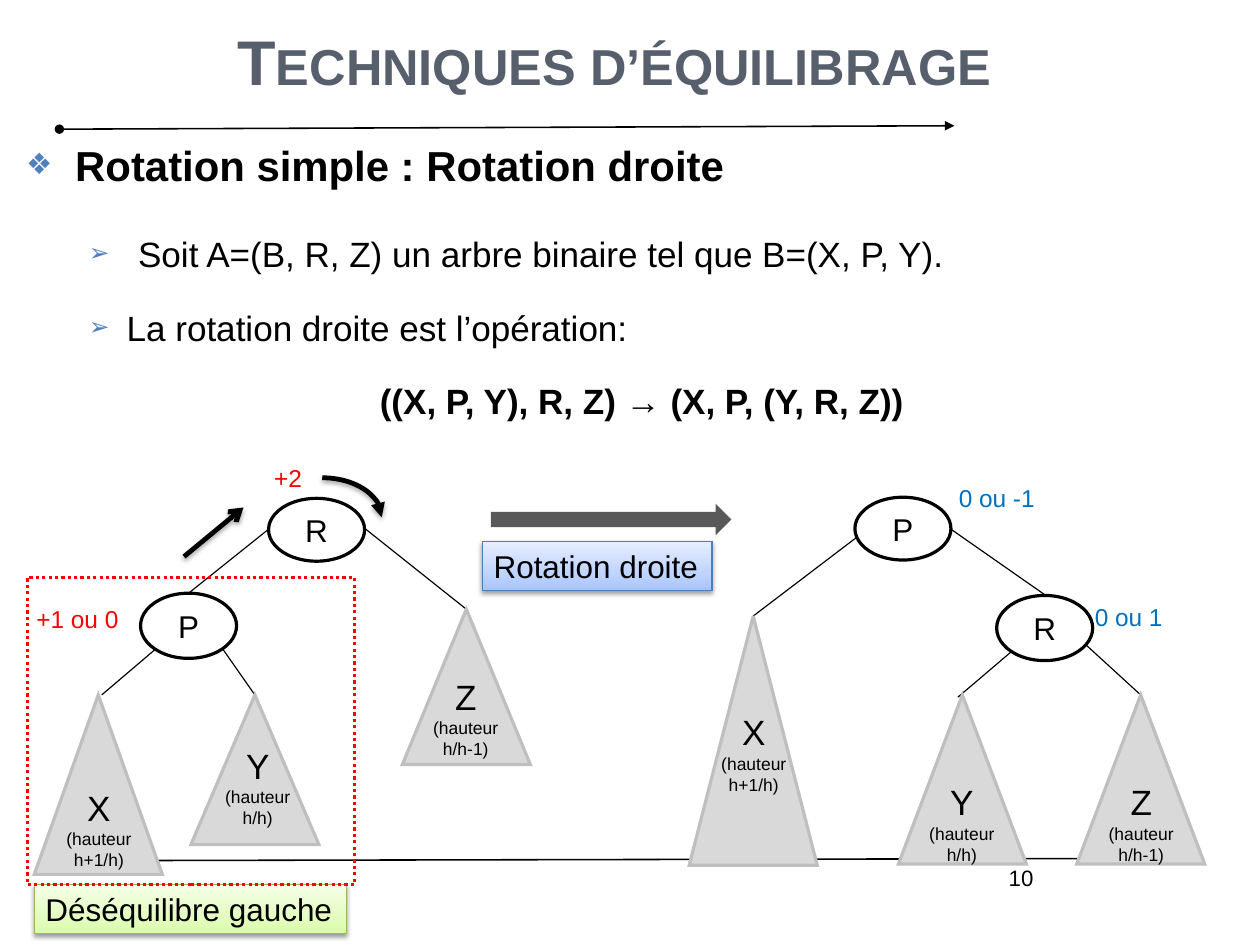
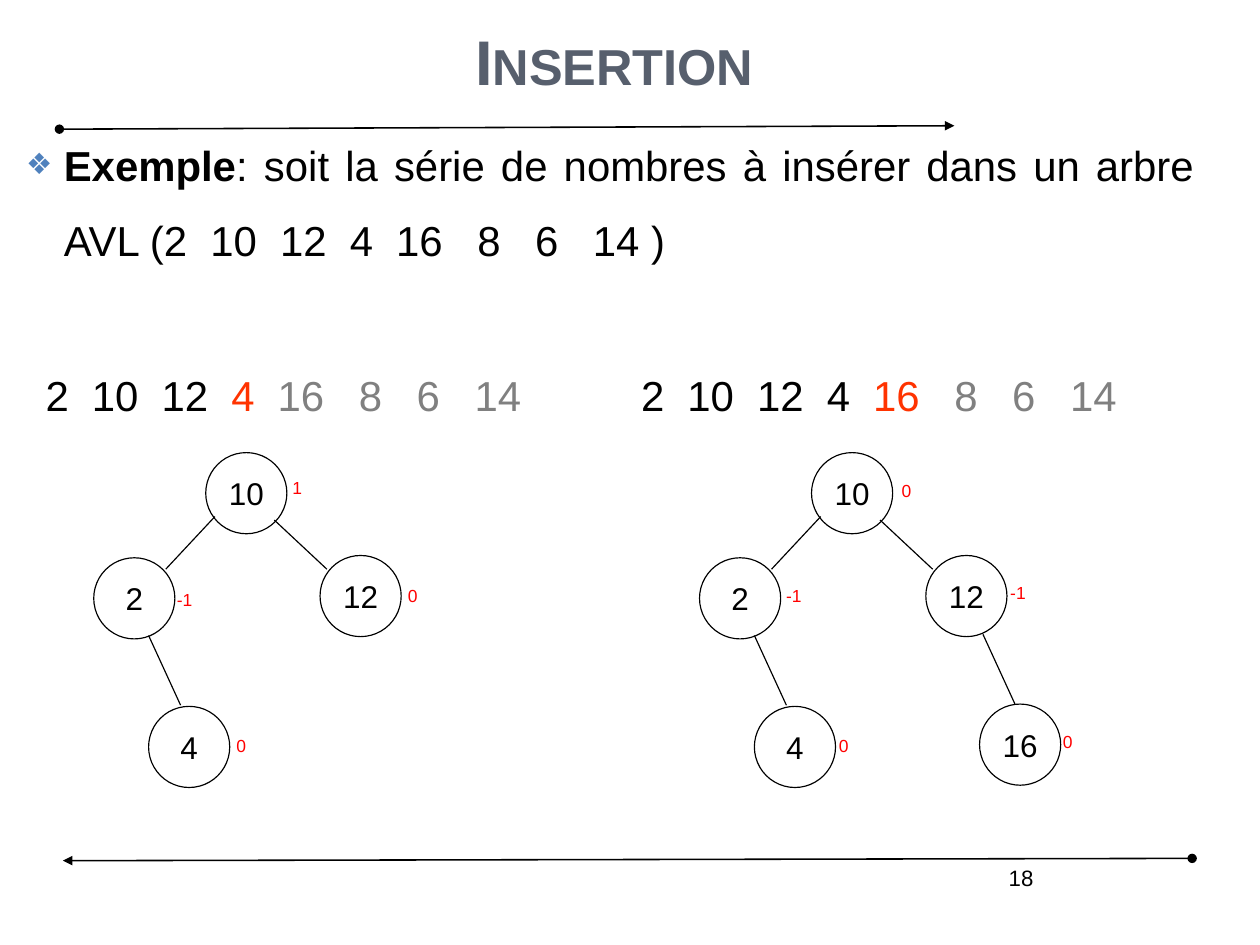
"""Build two slides on balancing AVL trees: right rotation and insertion."""
import lxml.etree
import pptx
import pptx.dml.color
import pptx.enum.dml
import pptx.enum.shapes
import pptx.enum.text
import pptx.oxml.ns
import pptx.util

Inches, Pt = pptx.util.Inches, pptx.util.Pt
RGB = pptx.dml.color.RGBColor.from_string
SHAPE = pptx.enum.shapes.MSO_SHAPE
ALIGN = pptx.enum.text.PP_ALIGN
ANCHOR = pptx.enum.text.MSO_ANCHOR
qn = pptx.oxml.ns.qn
SubElement = lxml.etree.SubElement


class Theme:
    font = "Arial"
    black, white, title = "000000", "FFFFFF", "575F6D"
    bullet, red, blue = "4F81BD", "FF0000", "0070C0"
    current, pending = "FF3300", "808080"
    subtree, subtree_edge, arrow = "D9D9D9", "BFBFBF", "595959"
    green = ("98B955", ((0, "DAFDA7"), (35, "E4FCC2"), (100, "F5FFE7")))
    azure = ("4B7EBC", ((0, "A4C4FF"), (35, "BFD4FF"), (100, "E6EEFF")))
    title_size, heading_size, body_size, node_size = 39.7, 26.46, 22.1, 19.8
    balance_size, number_size, small_size = 15.4, 14, 11
    hairline, rule, outline, heavy = 0.75, 1, 2, 3


def write(frame, text, size, color=Theme.black, align=ALIGN.LEFT, bold=False):
    frame.text = text
    frame.word_wrap = True
    for paragraph in frame.paragraphs:
        paragraph.alignment = align
        for run in paragraph.runs:
            run.font.name, run.font.size = Theme.font, Pt(size)
            run.font.bold, run.font.color.rgb = bold, RGB(color)


def draw(slide, kind, box, fill, edge, width):
    shape = slide.shapes.add_shape(kind, *map(Inches, box))
    shape.shadow.inherit = False
    if fill:
        shape.fill.solid()
        shape.fill.fore_color.rgb = RGB(fill)
    else:
        shape.fill.background()
    shape.line.color.rgb = RGB(edge)
    shape.line.width = Pt(width)
    SubElement(shape.element.spPr.find(qn("a:ln")), qn("a:miter"), lim="800000")
    return shape


prs = pptx.Presentation()
prs.slide_width = pptx.util.Cm(28)
prs.slide_height = pptx.util.Cm(21)

rules = [(0.52, 1.13, 8.35, 1.1, Theme.rule, "oval", "triangle"),
         (10.43, 7.51, 0.55, 7.53, Theme.rule, "oval", "triangle")]
rotation_edges = [
    (2.35, 4.63, 1.65, 5.19), (1.36, 5.68, 0.89, 6.08),
    (3.2, 4.63, 4.08, 5.33), (1.95, 5.68, 2.23, 6.08),
    (7.51, 4.69, 6.59, 5.39), (8.85, 5.7, 8.38, 6.1),
    (8.32, 4.63, 9.15, 5.21), (9.51, 5.65, 9.98, 6.08)]
lift_arrow = (1.61, 4.87, 2.13, 4.44, Theme.heavy, None, "arrow")

tree_shift = 5.3
tree_edges = [(2.4, 4.55, 2.86, 4.98), (1.45, 4.98, 1.88, 4.52), (1.3, 5.56, 1.58, 6.17)]
insertion_edges = tree_edges + [
    (x1 + tree_shift, y1, x2 + tree_shift, y2)
    for x1, y1, x2, y2 in tree_edges + [(3.3, 5.55, 3.58, 6.16)]]

pages = [("Techniques d’équilibrage", "10", rotation_edges, [lift_arrow]),
         ("Insertion", "18", insertion_edges, [])]
slides, bodies, shadowed = [], [], []
for heading, number, edges, arrows in pages:
    slide = prs.slides.add_slide(prs.slide_layouts[5])
    slides.append(slide)
    title = slide.shapes.title
    title.left, title.top, title.width, title.height = map(Inches, (0.55, -0.9, 9.65, 1.81))
    write(title.text_frame, heading, Theme.title_size, Theme.title, ALIGN.CENTER, True)
    title.text_frame.auto_size = pptx.enum.text.MSO_AUTO_SIZE.NONE
    title.text_frame.vertical_anchor = ANCHOR.BOTTOM
    title.text_frame.paragraphs[0].line_spacing = 1.5
    title.text_frame.paragraphs[0].runs[0].font._element.set("cap", "small")

    page_number = slide.shapes.add_textbox(*map(Inches, (6.57, 7.51, 2.57, 0.57)))
    write(page_number.text_frame, number, Theme.number_size, align=ALIGN.RIGHT)
    body = slide.shapes.add_textbox(*map(Inches, (0.13, 0.95, 10.42, 7.32)))
    bodies.append(body.text_frame)

    links = rules + [edge + (Theme.hairline, None, None) for edge in edges] + arrows
    for x1, y1, x2, y2, width, head, tail in links:
        link = slide.shapes.add_connector(
            pptx.enum.shapes.MSO_CONNECTOR.STRAIGHT, *map(Inches, (x1, y1, x2, y2)))
        link.line.color.rgb = RGB(Theme.black)
        link.line.width = Pt(width)
        properties = link.element.spPr
        for tag, end in (("a:headEnd", head), ("a:tailEnd", tail)):
            if end:
                SubElement(properties.find(qn("a:ln")), qn(tag), type=end)
        SubElement(properties, qn("a:effectLst"))
        if width == Theme.heavy:
            shadowed.append((link, 35))

rotation, insertion = slides
rotation_body, insertion_body = bodies

write(rotation_body, "\n".join([
    "Rotation simple : Rotation droite",
    "Soit A=(B, R, Z) un arbre binaire tel que B=(X, P, Y).",
    "La rotation droite est l’opération:",
    "((X, P, Y), R, Z) → (X, P, (Y, R, Z))"]), Theme.body_size, align=ALIGN.JUSTIFY)
write(insertion_body, "Exemple", Theme.heading_size, align=ALIGN.JUSTIFY, bold=True)
formula = rotation_body.paragraphs[3]
formula.alignment = ALIGN.CENTER
formula.runs[0].font.bold = True
rotation_heading = rotation_body.paragraphs[0].runs[0].font
rotation_heading.size, rotation_heading.bold = Pt(Theme.heading_size), True

outline = [(0, 0.43, -0.43, "❖", 0), (1, 0.98, -0.43, "➢", 13.5),
           (1, 0.88, -0.33, "➢", 6.6), (1, 0.88, -0.33, None, 6.6),
           (0, 0.33, -0.33, "❖", 0)]
paragraphs = rotation_body.paragraphs + insertion_body.paragraphs
for paragraph, (level, margin, indent, bullet, before) in zip(paragraphs, outline):
    paragraph.level = level
    paragraph.line_spacing = 1.5
    paragraph.space_before = Pt(before)
    properties = paragraph._p.get_or_add_pPr()
    properties.set("marL", str(Inches(margin)))
    properties.set("indent", str(Inches(indent)))
    if bullet:
        tint = SubElement(properties, qn("a:buClr"))
        SubElement(tint, qn("a:srgbClr"), val=Theme.bullet)
        SubElement(properties, qn("a:buSzPct"), val="70000")
        SubElement(properties, qn("a:buFont"), typeface=Theme.font)
        SubElement(properties, qn("a:buChar"), char=bullet)

subtrees = [
    ("X", "h+1/h", 0.3, 6.08, 1.57, 0.39, 6.83), ("Y", "h/h", 1.67, 6.08, 1.31, 1.78, 6.46),
    ("Z", "h/h-1", 3.52, 5.33, 1.36, 3.6, 5.86), ("X", "h+1/h", 6.03, 5.39, 2.18, 6.12, 6.17),
    ("Y", "h/h", 7.86, 6.08, 1.48, 7.94, 6.78), ("Z", "h/h-1", 9.42, 6.08, 1.48, 9.51, 6.78)]
for name, height, left, top, tall, label_left, label_top in subtrees:
    draw(rotation, SHAPE.ISOSCELES_TRIANGLE, (left, top, 1.12, tall),
         Theme.subtree, Theme.subtree_edge, Theme.outline)
    label = rotation.shapes.add_textbox(*map(Inches, (label_left, label_top, 0.95, 0.84)))
    write(label.text_frame, f"{name}\n(hauteur {height})", Theme.body_size, align=ALIGN.CENTER)
    label.text_frame.paragraphs[1].runs[0].font.size = Pt(Theme.small_size)

tree_nodes = [("10", 1.8, 3.96), ("12", 2.8, 4.86), ("2", 0.82, 4.88), ("4", 1.3, 6.18)]
shifted_nodes = [(key, left + tree_shift, top)
                 for key, left, top in tree_nodes + [("16", 3.27, 6.16)]]
nodes = [(rotation, key, (left, top, 0.84, tall), Theme.white, Theme.outline)
         for key, left, top, tall in [("R", 2.35, 4.36, 0.55), ("P", 1.23, 5.19, 0.57),
                                      ("P", 7.48, 4.35, 0.55), ("R", 8.72, 5.21, 0.57)]]
nodes += [(insertion, key, (left, top, 0.71, 0.71), None, Theme.hairline)
          for key, left, top in tree_nodes + shifted_nodes]
for slide, key, box, fill, width in nodes:
    node = draw(slide, SHAPE.OVAL, box, fill, Theme.black, width)
    frame = node.text_frame
    write(frame, key, Theme.node_size, align=ALIGN.CENTER)
    frame.margin_left = frame.margin_right = frame.margin_top = frame.margin_bottom = 0
    frame.vertical_anchor = ANCHOR.MIDDLE

turn = draw(rotation, SHAPE.ARC, (2.3, 4.18, 1.04, 0.69), None, Theme.black, Theme.heavy)
SubElement(turn.element.spPr.find(qn("a:ln")), qn("a:tailEnd"), type="triangle")
shadowed.append((turn, 35))
draw(rotation, SHAPE.RIGHT_ARROW, (4.31, 4.44, 2.07, 0.21),
     Theme.arrow, Theme.arrow, Theme.outline)

captions = [("Déséquilibre gauche", (0.3, 7.74, 2.73, 0.43), Theme.green),
            ("Rotation droite", (4.22, 4.74, 2.01, 0.43), Theme.azure)]
for text, box, (edge, stops) in captions:
    caption = draw(rotation, SHAPE.RECTANGLE, box, None, edge, Theme.hairline)
    write(caption.text_frame, text, Theme.node_size)
    caption.text_frame.word_wrap = False
    caption.fill.gradient()
    caption.fill.gradient_angle = 90
    stop_list = caption.element.spPr.find(".//" + qn("a:gsLst"))
    for stop in list(stop_list):
        stop_list.remove(stop)
    for position, color in stops:
        stop = SubElement(stop_list, qn("a:gs"), pos=str(position * 1000))
        SubElement(stop, qn("a:srgbClr"), val=color)
    shadowed.append((caption, 38))

for shape, opacity in shadowed:
    effects = shape.element.spPr.find(qn("a:effectLst"))
    shadow = SubElement(effects, qn("a:outerShdw"), blurRad=str(Pt(3.1)),
                        dist=str(Pt(1.7)), dir="5400000", rotWithShape="0")
    tint = SubElement(shadow, qn("a:srgbClr"), val=Theme.black)
    SubElement(tint, qn("a:alpha"), val=str(opacity * 1000))

unbalanced = draw(rotation, SHAPE.RECTANGLE, (0.24, 5.05, 2.86, 2.69),
                  None, Theme.red, Theme.outline)
unbalanced.line.dash_style = pptx.enum.dml.MSO_LINE.ROUND_DOT

balances = [
    (rotation, text, (left, top, width, 0.36), Theme.balance_size, color)
    for text, left, top, width, color in [
        ("+1 ou 0", 0.22, 5.24, 1.16, Theme.red), ("+2", 2.3, 4, 0.71, Theme.red),
        ("0 ou -1", 8.29, 4.18, 0.91, Theme.blue), ("0 ou 1", 9.48, 5.22, 0.89, Theme.blue)]]
balances += [
    (insertion, text, (left, top, 0.34 if text == "-1" else 0.29, 0.29),
     Theme.small_size, Theme.red)
    for text, left, top in [
        ("0", 1.97, 6.38), ("-1", 1.45, 5.1), ("0", 3.47, 5.07), ("1", 2.46, 4.12),
        ("0", 9.2, 6.35), ("0", 7.24, 6.38), ("-1", 8.74, 5.04), ("-1", 6.78, 5.07),
        ("0", 7.79, 4.15)]]
for slide, text, box, size, color in balances:
    balance = slide.shapes.add_textbox(*map(Inches, box))
    write(balance.text_frame, text, size, color)
    balance.text_frame.word_wrap = False

keys = ["2", "10", "12", "4", "16", "8", "6", "14"]
extra_spaces = [1, 1, 1, 1, 2, 2, 2]
example = insertion_body.paragraphs[0]
series = [(example, len(keys), ": soit la série de nombres à insérer dans un arbre AVL (", " )")]
for left, inserted in ((0.3, 3), (5.51, 4)):
    box = insertion.shapes.add_textbox(*map(Inches, (left, 3.18, 4.65, 0.55)))
    box.text_frame.word_wrap = True
    series.append((box.text_frame.paragraphs[0], inserted, "", ""))
for paragraph, inserted, opening, closing in series:
    pieces = [(opening, Theme.black, 0)]
    for index, key in enumerate(keys):
        color = (Theme.black if index < inserted
                 else Theme.current if index == inserted else Theme.pending)
        pieces.append((key, color, 0))
        if index < len(extra_spaces):
            pieces.append((" ", color, extra_spaces[index]))
    pieces.append((closing, Theme.black, 0))
    for text, color, extra in pieces:
        if text:
            run = paragraph.add_run()
            run.text = text
            run.font.name, run.font.size = Theme.font, Pt(Theme.heading_size)
            run.font.color.rgb = RGB(color)
            if extra:
                run.font._element.set("spc", str(extra * 720))

prs.save("out.pptx")
